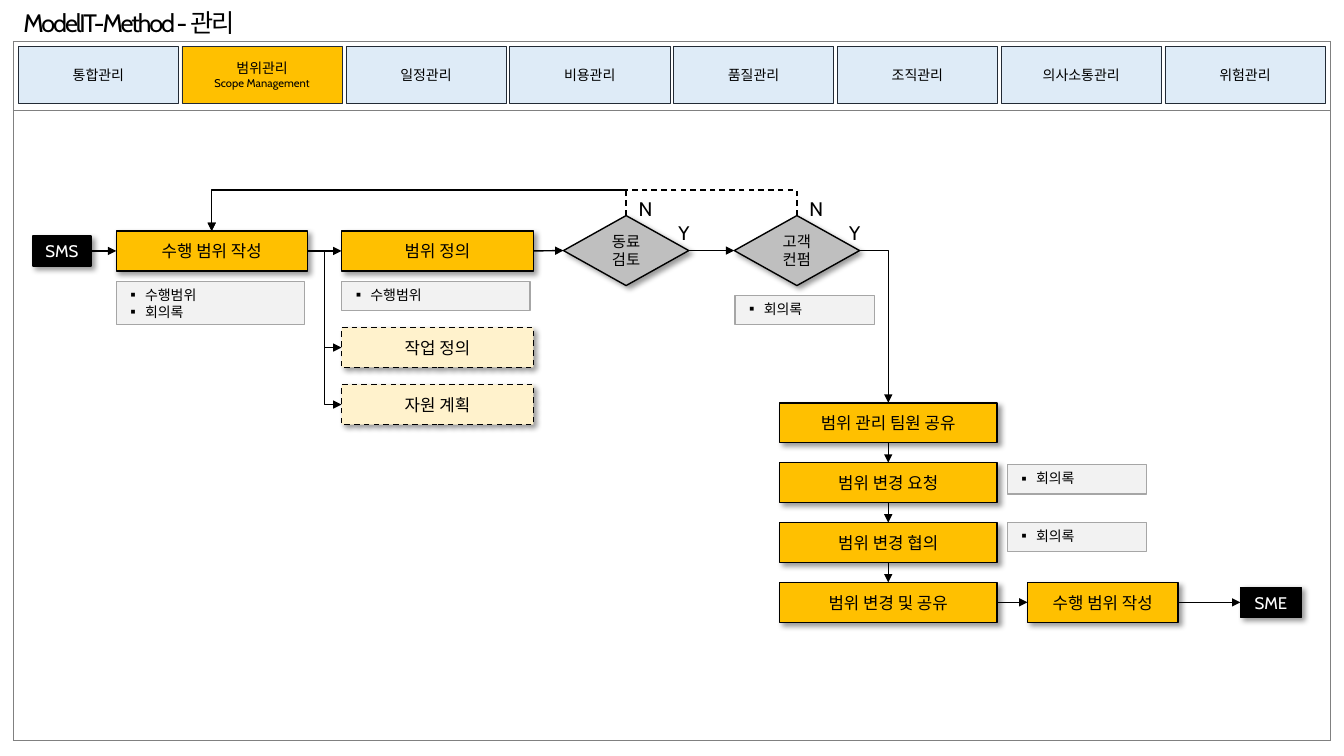
from lxml.etree import SubElement
from pptx import Presentation
from pptx.dml.color import RGBColor
from pptx.enum.dml import MSO_LINE
from pptx.enum.shapes import MSO_CONNECTOR, MSO_SHAPE
from pptx.enum.text import MSO_ANCHOR, PP_ALIGN
from pptx.oxml.ns import qn
from pptx.util import Pt

COLORS = {
    "black": "000000", "white": "FFFFFF", "active": "FFC000", "optional": "FFF2CC",
    "tab": "DEEBF7", "tab_line": "222A35", "decision": "BFBFBF",
    "note": "F2F2F2", "note_line": "A6A6A6", "frame": "808080",
}
LABEL_FONT = "Cabin"
NOTE_FONT = "Noto Sans CJK KR"
TOP, LEFT, BOTTOM, RIGHT = range(4)


def color(name):
    """Return the named colour."""
    return RGBColor.from_string(COLORS[name])


def format_paragraph(paragraph, size, font=LABEL_FONT, text_color="black"):
    """Set the font of a whole paragraph."""
    paragraph.font.size = Pt(size)
    paragraph.font.name = font
    paragraph.font.color.rgb = color(text_color)


def add_box(slide, box, lines, fill, line="black", line_width=1, size=12,
            text_color="black", kind=MSO_SHAPE.RECTANGLE):
    """Add a filled shape with centred lines of text."""
    shape = slide.shapes.add_shape(kind, *map(Pt, box))
    shape.shadow.inherit = False
    shape.fill.solid()
    shape.fill.fore_color.rgb = color(fill)
    shape.line.color.rgb = color(line)
    shape.line.width = Pt(line_width)
    shape.text_frame.text = "\n".join(lines)
    shape.text_frame.vertical_anchor = MSO_ANCHOR.MIDDLE
    for paragraph in shape.text_frame.paragraphs:
        paragraph.alignment = PP_ALIGN.CENTER
        format_paragraph(paragraph, size, text_color=text_color)
    return shape


def add_shadow(shape):
    """Give a shape a soft shadow to the lower right."""
    effects = shape._element.spPr.find(qn("a:effectLst"))
    shadow = SubElement(effects, qn("a:outerShdw"), blurRad=str(Pt(4)),
                        dist=str(Pt(3)), dir="2700000", algn="tl", rotWithShape="0")
    shade = SubElement(shadow, qn("a:srgbClr"), val=COLORS["black"])
    SubElement(shade, qn("a:alpha"), val="40000")


def add_step(slide, box, text, optional=False):
    """Add a process step, dashed and pale when optional."""
    shape = add_box(slide, box, [text], "optional" if optional else "active")
    if optional:
        shape.line.dash_style = MSO_LINE.DASH
    add_shadow(shape)
    return shape


def add_terminal(slide, box, text):
    """Add a black start or end marker."""
    shape = add_box(slide, box, [text], "black", text_color="white")
    add_shadow(shape)
    return shape


def add_decision(slide, left, top, lines):
    """Add a decision diamond with its Y and N labels."""
    shape = add_box(slide, (left, top, 89.5, 50), lines, "decision", size=11,
                    kind=MSO_SHAPE.DIAMOND)
    add_shadow(shape)
    for answer, across, down in (("Y", 75, 0.5), ("N", 46.5, -17)):
        label = slide.shapes.add_textbox(Pt(left + across), Pt(top + down), Pt(24), Pt(24.5))
        label.text_frame.word_wrap = False
        label.text_frame.text = answer
        format_paragraph(label.text_frame.paragraphs[0], 14)
    return shape


def add_note(slide, box, items):
    """Add a grey box with a bulleted list of documents."""
    shape = add_box(slide, box, items, "note", "note_line")
    shape.text_frame.vertical_anchor = MSO_ANCHOR.TOP
    for paragraph in shape.text_frame.paragraphs:
        properties = paragraph._p.get_or_add_pPr()
        properties.set("marL", str(Pt(13.5)))
        properties.set("indent", str(Pt(-13.5)))
        for child in list(properties):
            properties.remove(child)
        SubElement(properties, qn("a:buFont"), typeface=NOTE_FONT)
        SubElement(properties, qn("a:buChar"), char="▪")
        paragraph.alignment = PP_ALIGN.LEFT
        format_paragraph(paragraph, 10, NOTE_FONT)


def add_arrow(slide, start, start_side, end, end_side, kind=MSO_CONNECTOR.STRAIGHT):
    """Connect two shapes with an arrow."""
    arrow = slide.shapes.add_connector(kind, 0, 0, 0, 0)
    arrow.begin_connect(start, start_side)
    arrow.end_connect(end, end_side)
    arrow.line.color.rgb = color("black")
    arrow.line.width = Pt(1)
    SubElement(arrow.line._get_or_add_ln(), qn("a:tailEnd"), type="triangle")
    SubElement(arrow._element.spPr, qn("a:effectLst"))
    return arrow


def add_corner_arrow(slide, start, end):
    """Connect a right side to a top side with a single bend."""
    arrow = add_arrow(slide, start, RIGHT, end, TOP, MSO_CONNECTOR.ELBOW)
    arrow._element.spPr.find(qn("a:prstGeom")).set("prst", "bentConnector2")


def add_return_arrow(slide, start, end):
    """Lead a dashed arrow over the flow from one top side back to another."""
    arrow = add_arrow(slide, start, TOP, end, TOP, MSO_CONNECTOR.ELBOW)
    arrow.line.dash_style = MSO_LINE.DASH
    width, height = arrow.height, arrow.width
    arrow.left += (height - width) // 2
    arrow.top += (width - height) // 2
    arrow.width, arrow.height = width, height
    transform = arrow._element.spPr.find(qn("a:xfrm"))
    for name, value in (("rot", "16200000"), ("flipH", "1"), ("flipV", "1")):
        transform.set(name, value)
    adjustments = arrow._element.spPr.find(qn("a:prstGeom")).find(qn("a:avLst"))
    SubElement(adjustments, qn("a:gd"), name="adj1", fmla="val -165000")


def add_title(slide, left, top, width, height):
    """Fill and place the slide title."""
    title = slide.shapes.title
    title.left, title.top, title.width, title.height = map(Pt, (left, top, width, height))
    frame = title.text_frame
    frame.text = "ModelIT-Method - 관리"
    frame.vertical_anchor = MSO_ANCHOR.MIDDLE
    paragraph = frame.paragraphs[0]
    paragraph.alignment = PP_ALIGN.LEFT
    format_paragraph(paragraph, 18)
    paragraph.runs[0]._r.get_or_add_rPr().set("spc", "-150")


def add_frame(slide, left, top, width, height):
    """Add the two-row outline table around tabs and flow."""
    table = slide.shapes.add_table(2, 1, *map(Pt, (left, top, width, height))).table
    table.rows[0].height, table.rows[1].height = Pt(49.5), Pt(height - 49.5)
    for cell in table.iter_cells():
        properties = cell._tc.get_or_add_tcPr()
        for side in ("lnL", "lnR", "lnT", "lnB"):
            border = SubElement(properties, qn(f"a:{side}"), w=str(Pt(0.5)))
            fill = SubElement(border, qn("a:solidFill"))
            SubElement(fill, qn("a:srgbClr"), val=COLORS["frame"])
        cell.fill.background()


def add_tabs(slide, left, top, width, height):
    """Add the row of management areas, the current one highlighted."""
    names = ["통합관리", "범위관리", "일정관리", "비용관리",
             "품질관리", "조직관리", "의사소통관리", "위험관리"]
    pitch = width / len(names)
    for index, name in enumerate(names):
        current = name == "범위관리"
        lines = [name, "Scope Management"] if current else [name]
        tab = add_box(slide, (left + index * pitch, top, pitch - 2.5, height), lines,
                      "active" if current else "tab", "tab_line", 0.25, 10)
        for paragraph in tab.text_frame.paragraphs[1:]:
            paragraph.font.size = Pt(8)


def add_flow(slide, left, top):
    """Add the scope management flow below and right of a corner."""
    start = add_terminal(slide, (left, top + 14.5, 41.5, 21.5), "SMS")
    write = add_step(slide, (left + 59.5, top + 11, 136.5, 28.5), "수행 범위 작성")
    define, work, resources = [
        add_step(slide, (left + 220.5, top + down, 137, 28.5), text, optional)
        for down, text, optional in ((11, "범위 정의", False), (80, "작업 정의", True),
                                     (120.75, "자원 계획", True))]
    peer = add_decision(slide, left + 379, top, ["동료", "검토"])
    customer = add_decision(slide, left + 501, top, ["고객", "컨펌"])
    stack = [add_step(slide, (left + 533.25, top + 133.75 + 42.75 * index, 155.5, 28.5), text)
             for index, text in enumerate(("범위 관리 팀원 공유", "범위 변경 요청",
                                           "범위 변경 협의", "범위 변경 및 공유"))]
    rewrite = add_step(slide, (left + 710.5, top + 262, 107.5, 28.5), "수행 범위 작성")
    end = add_terminal(slide, (left + 862.5, top + 265.5, 43.5, 21.5), "SME")

    for across, down, width, height, items in (
            (59.5, 47, 134.5, 31, ["수행범위", "회의록"]), (220.5, 47, 134.5, 21, ["수행범위"]),
            (501.5, 57, 99.5, 21, ["회의록"]), (696, 178, 99.5, 21, ["회의록"]),
            (696, 219, 99.5, 21, ["회의록"])):
        add_note(slide, (left + across, top + down, width, height), items)

    for row in ([start, write, define, peer, customer], [stack[-1], rewrite, end]):
        for source, target in zip(row, row[1:]):
            add_arrow(slide, source, RIGHT, target, LEFT)
    for source, target in zip(stack, stack[1:]):
        add_arrow(slide, source, BOTTOM, target, TOP)
    for target in (work, resources):
        add_arrow(slide, write, RIGHT, target, LEFT, MSO_CONNECTOR.ELBOW)
    add_corner_arrow(slide, customer, stack[0])
    for decision in (peer, customer):
        add_return_arrow(slide, decision, write)


def main():
    """Build and save the presentation."""
    presentation = Presentation()
    presentation.slide_width, presentation.slide_height = Pt(960), Pt(540)
    slide = presentation.slides.add_slide(presentation.slide_layouts[5])
    add_frame(slide, 9.5, 29.5, 941, 499)
    add_title(slide, 9.5, 1.5, 240, 29)
    add_tabs(slide, 13, 33, 936, 41)
    add_flow(slide, 23.5, 154)
    presentation.save("out.pptx")


if __name__ == "__main__":
    main()
